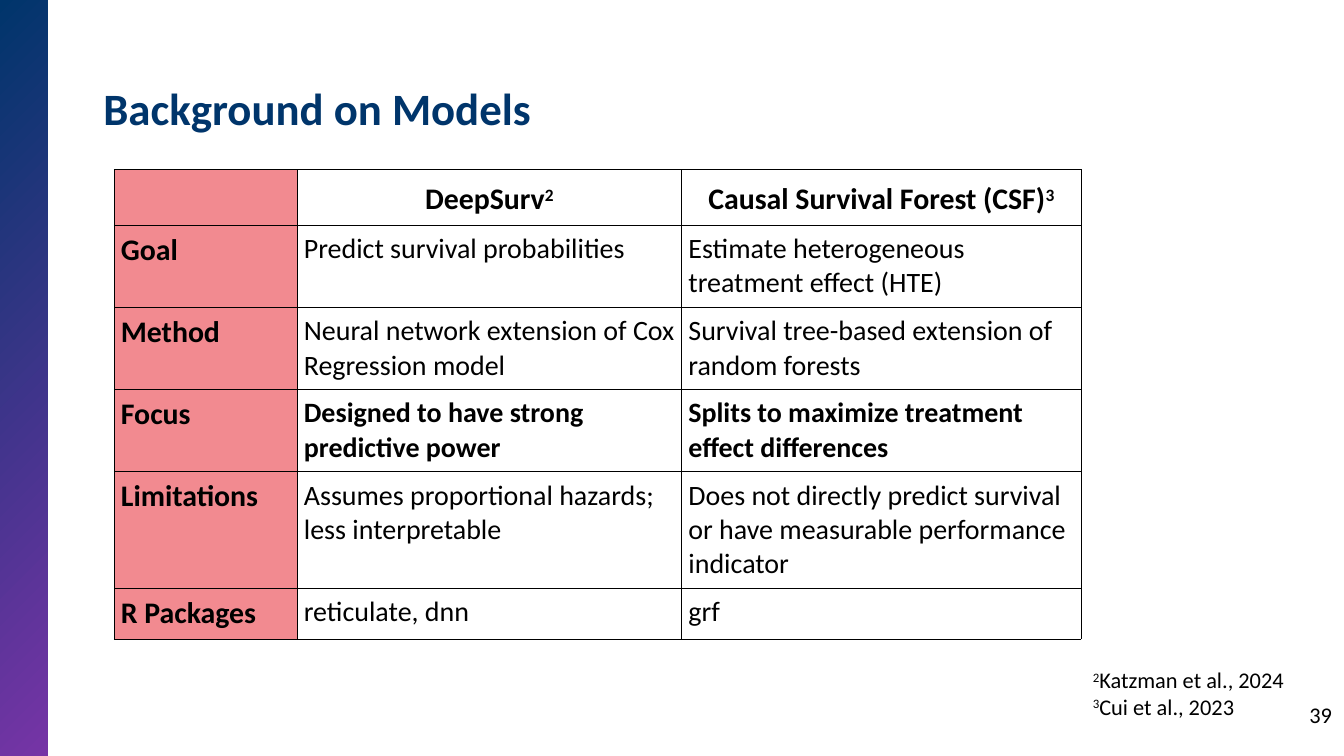
from lxml import etree
from pptx import Presentation
from pptx.dml.color import RGBColor
from pptx.enum.shapes import MSO_SHAPE
from pptx.enum.text import MSO_ANCHOR, PP_ALIGN
from pptx.oxml.ns import qn
from pptx.util import Pt

RECTANGLE = MSO_SHAPE.RECTANGLE
TOP, MIDDLE = MSO_ANCHOR.TOP, MSO_ANCHOR.MIDDLE
LEFT, CENTER, RIGHT = PP_ALIGN.LEFT, PP_ALIGN.CENTER, PP_ALIGN.RIGHT

NAVY = RGBColor(0x00, 0x35, 0x6B)
PURPLE = RGBColor(0x76, 0x34, 0xA6)
CORAL = RGBColor(0xEE, 0x63, 0x6C)
BLACK = RGBColor(0, 0, 0)
WHITE = RGBColor(255, 255, 255)

SLIDE_WIDTH, SLIDE_HEIGHT = 720, 405
COLUMN_WIDTHS = [98, 206, 214]
ROW_HEIGHTS = [30, 44, 44, 44, 62, 27.4]

# "^" switches superscript on and off
ROWS = [
    ["", "DeepSurv^2", "Causal Survival Forest (CSF)^3"],
    ["Goal", "Predict survival probabilities",
     "Estimate heterogeneous treatment effect (HTE)"],
    ["Method", "Neural network extension of Cox Regression model",
     "Survival tree-based extension of random forests"],
    ["Focus", "Designed to have strong predictive power",
     "Splits to maximize treatment effect differences"],
    ["Limitations", "Assumes proportional hazards; less interpretable",
     "Does not directly predict survival or have measurable performance indicator"],
    ["R Packages", "reticulate, dnn", "grf"],
]


class SlideBuilder:
    """Holds the style and the current slide."""

    font_name = "Calibri"
    inset = 3.6

    def __init__(self, slide):
        self.slide = slide

    def fill_text(self, text_frame, lines, alignment=LEFT, line_spacing=None, **font):
        values = {"name": self.font_name, "bold": False, **font}
        color = values.pop("color", BLACK)
        for index, line in enumerate(lines):
            paragraph = text_frame.paragraphs[0] if index == 0 else text_frame.add_paragraph()
            paragraph.alignment = alignment
            paragraph.line_spacing = line_spacing
            for part, piece in enumerate(line.split("^")):
                if not piece:
                    continue
                run = paragraph.add_run()
                run.text = piece
                for name, value in values.items():
                    setattr(run.font, name, value)
                run.font.color.rgb = color
                if part % 2:
                    run.font._element.set("baseline", "30000")

    def rectangle(self, left, top, width, height):
        shape = self.slide.shapes.add_shape(
            RECTANGLE, Pt(left), Pt(top), Pt(width), Pt(height))
        shape.shadow.inherit = False
        shape.line.fill.background()
        return shape

    def plain_box(self, left, top, width, height, color):
        shape = self.rectangle(left, top, width, height)
        shape.fill.solid()
        shape.fill.fore_color.rgb = color

    def gradient_bar(self, left, top, width, height, colors):
        fill = self.rectangle(left, top, width, height).fill
        fill.gradient()
        fill.gradient_angle = 315
        for position, (stop, color) in enumerate(zip(fill.gradient_stops, colors)):
            stop.position = position
            stop.color.rgb = color

    def text(self, left, top, width, height, lines, padding=1.8, anchor=TOP, **style):
        box = self.slide.shapes.add_textbox(Pt(left), Pt(top), Pt(width), Pt(height))
        frame_format = {
            "word_wrap": True, "vertical_anchor": anchor,
            "margin_left": Pt(self.inset), "margin_right": Pt(self.inset),
            "margin_top": Pt(padding), "margin_bottom": Pt(padding),
        }
        for name, value in frame_format.items():
            setattr(box.text_frame, name, value)
        self.fill_text(box.text_frame, lines, **style)

    def cell_format(self, cell, color=None, opacity=100):
        for side in ("left", "right", "top", "bottom"):
            setattr(cell, f"margin_{side}", Pt(self.inset))
        properties = cell._tc.get_or_add_tcPr()
        for tag in ("a:lnL", "a:lnR", "a:lnT", "a:lnB"):
            line = etree.SubElement(properties, qn(tag), w=str(Pt(0.38)))
            line_fill = etree.SubElement(line, qn("a:solidFill"))
            etree.SubElement(line_fill, qn("a:srgbClr"), val=str(BLACK))
        if color is None:
            cell.fill.background()
            return
        cell.fill.solid()
        cell.fill.fore_color.rgb = color
        if opacity < 100:
            fill_color = properties.find(qn("a:solidFill")).find(qn("a:srgbClr"))
            etree.SubElement(fill_color, qn("a:alpha"), val=str(opacity * 1000))

    def comparison_table(self, left, top, rows, widths, heights, bold_row):
        table = self.slide.shapes.add_table(
            len(rows), len(widths), Pt(left), Pt(top),
            Pt(sum(widths)), Pt(sum(heights))).table
        table.first_row = table.horz_banding = False
        for column, width in zip(table.columns, widths):
            column.width = Pt(width)
        for row, height in zip(table.rows, heights):
            row.height = Pt(height)
        for r, texts in enumerate(rows):
            for c, text in enumerate(texts):
                cell = table.cell(r, c)
                if c == 0:
                    self.cell_format(cell, CORAL, opacity=75)
                    style = {"size": Pt(16), "bold": True}
                elif r == 0:
                    self.cell_format(cell, WHITE)
                    style = {"size": Pt(16), "bold": True,
                             "alignment": CENTER, "line_spacing": 1.15}
                else:
                    self.cell_format(cell)
                    style = {"size": Pt(15), "bold": r == bold_row}
                self.fill_text(cell.text_frame, [text], **style)


def main():
    presentation = Presentation()
    presentation.slide_width = Pt(SLIDE_WIDTH)
    presentation.slide_height = Pt(SLIDE_HEIGHT)
    builder = SlideBuilder(presentation.slides.add_slide(presentation.slide_layouts[6]))

    # Side bar
    builder.gradient_bar(0, 0, 25.5, SLIDE_HEIGHT, [NAVY, PURPLE])

    # Model comparison
    builder.comparison_table(61.2, 90.7, ROWS, COLUMN_WIDTHS, ROW_HEIGHTS, bold_row=3)

    # References
    builder.plain_box(522, 344, 183, 45.4, WHITE)
    builder.text(581.8, 353.5, 145.4, 26.6,
                 ["^2^Katzman et al., 2024", "^3^Cui et al., 2023"],
                 padding=3.6, size=Pt(12))

    # Title and page number
    builder.text(51.8, 35.3, 480, 44.6, ["Background on Models"],
                 anchor=MIDDLE, size=Pt(24), bold=True, color=NAVY)
    builder.text(674, 373.7, 43.2, 31, ["39"], alignment=RIGHT, size=Pt(12))

    presentation.save("out.pptx")


if __name__ == "__main__":
    main()
